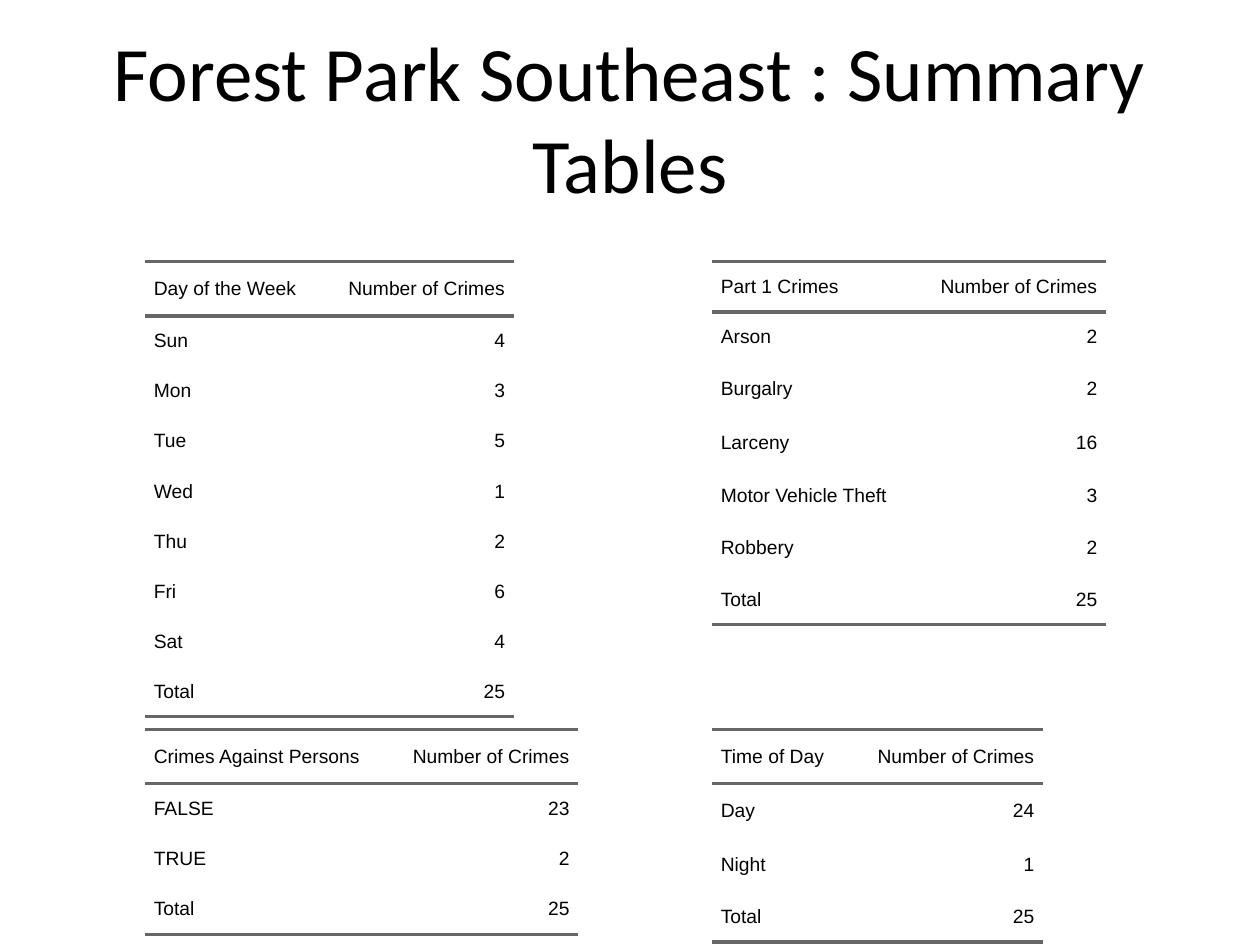
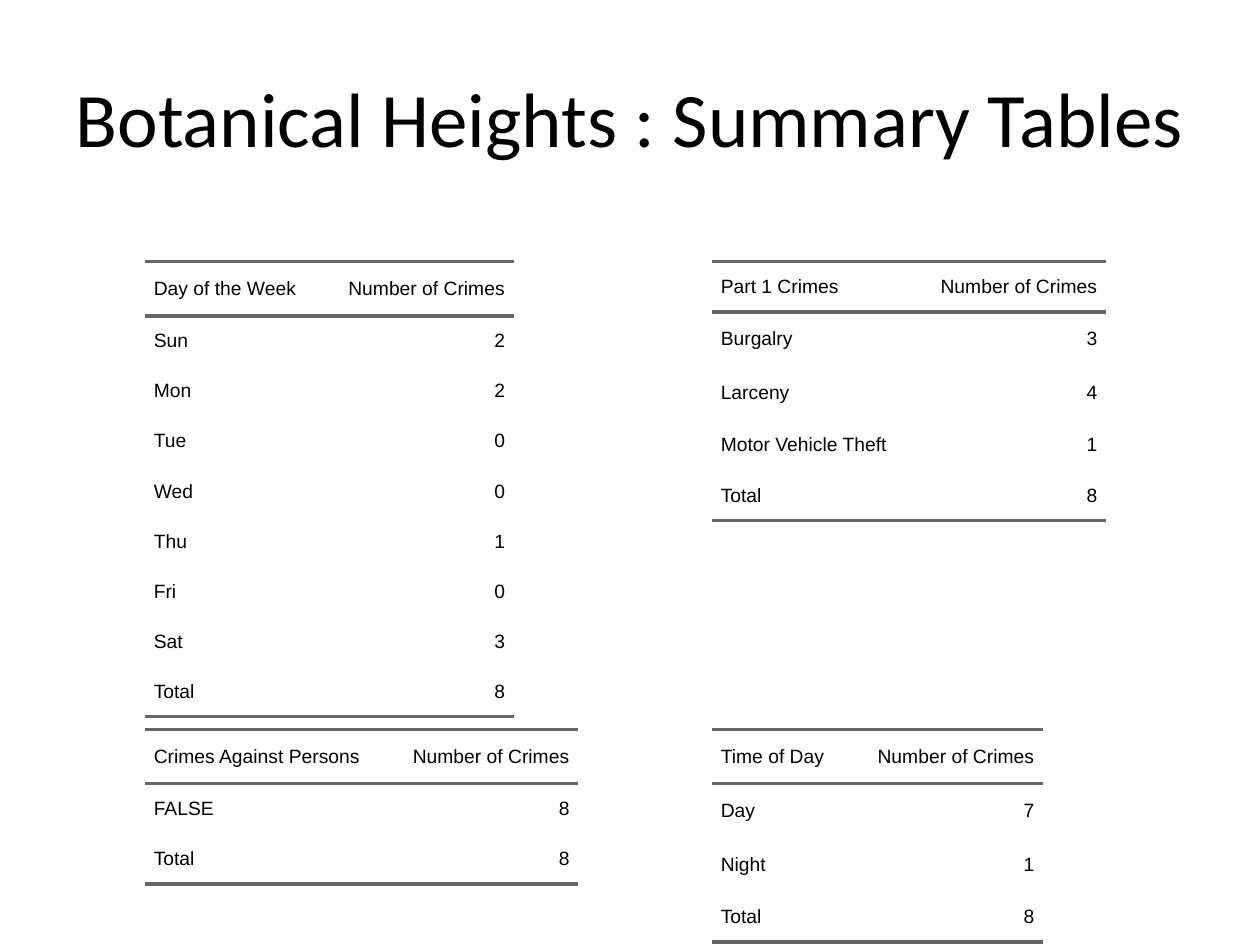
from lxml import etree
from pptx import Presentation
from pptx.dml.color import RGBColor
from pptx.enum.text import MSO_ANCHOR, PP_ALIGN
from pptx.oxml.ns import qn
from pptx.util import Cm, Pt

MIDDLE = MSO_ANCHOR.MIDDLE
LEFT, CENTER, RIGHT = PP_ALIGN.LEFT, PP_ALIGN.CENTER, PP_ALIGN.RIGHT

COLORS = {"text": "000000", "rule": "666666"}
TITLE_FONT, TABLE_FONT = "Calibri", "Arial"
NO_TABLE_STYLE = "{2D5ABB26-0587-4C30-8999-92F81FD0307C}"
RULE_WIDTH = Pt(2)
BLANK_LAYOUT = 6

TITLE_BOX = (1.27, 0.76, 22.86, 3.18)
COUNT_HEADING = "Number of Crimes"
COUNT_WIDTH = 3.86
CELL_PADDING = 0.18
ROW_HEIGHT, TALL_ROW_HEIGHT = 1.01, 1.09
DESCENDERS = set("gjpqy")

# Heading: (left, top, width of the label column)
TABLE_BOXES = {
    "Part 1 Crimes": (14.35, 5.28, 4.09),
    "Day of the Week": (2.92, 5.28, 3.58),
    "Crimes Against Persons": (2.92, 14.71, 4.88),
    "Time of Day": (14.35, 14.71, 2.82),
}
DAYS = ("Sun", "Mon", "Tue", "Wed", "Thu", "Fri", "Sat")

NEIGHBORHOODS = {
    "Forest Park Southeast": {
        "Part 1 Crimes": {"Arson": 2, "Burgalry": 2, "Larceny": 16,
                          "Motor Vehicle Theft": 3, "Robbery": 2},
        "Day of the Week": dict(zip(DAYS, (4, 3, 5, 1, 2, 6, 4))),
        "Crimes Against Persons": {"FALSE": 23, "TRUE": 2},
        "Time of Day": {"Day": 24, "Night": 1},
    },
    "Botanical Heights": {
        "Part 1 Crimes": {"Burgalry": 3, "Larceny": 4, "Motor Vehicle Theft": 1},
        "Day of the Week": dict(zip(DAYS, (2, 2, 0, 0, 1, 0, 3))),
        "Crimes Against Persons": {"FALSE": 8},
        "Time of Day": {"Day": 7, "Night": 1},
    },
}


def add_run(paragraph, text, font_name, size, alignment):
    paragraph.alignment = alignment
    run = paragraph.add_run()
    run.text = text
    run.font.name = font_name
    run.font.size = Pt(size)
    run.font.color.rgb = RGBColor.from_string(COLORS["text"])


def add_title(slide, text, box):
    text_frame = slide.shapes.add_textbox(*map(Cm, box)).text_frame
    text_frame.word_wrap = True
    text_frame.vertical_anchor = MIDDLE
    add_run(text_frame.paragraphs[0], text, TITLE_FONT, 44, CENTER)


def add_borders(cell, sides):
    """Rule the given sides, listed top before bottom as the schema orders them."""
    properties = cell._tc.get_or_add_tcPr()
    for position, side in enumerate(sides):
        line = etree.Element(qn(f"a:ln{side}"), w=str(RULE_WIDTH))
        fill = etree.SubElement(line, qn("a:solidFill"))
        etree.SubElement(fill, qn("a:srgbClr"), val=COLORS["rule"])
        properties.insert(position, line)


def fill_cell(cell, text, alignment, sides):
    cell.fill.background()
    cell.vertical_anchor = MIDDLE
    cell.margin_left = cell.margin_right = Cm(CELL_PADDING)
    cell.margin_top = cell.margin_bottom = 0
    add_run(cell.text_frame.paragraphs[0], text, TABLE_FONT, 11, alignment)
    add_borders(cell, sides)


def row_height(label):
    """Rows whose label reaches below the baseline are slightly taller."""
    return TALL_ROW_HEIGHT if DESCENDERS & set(label) else ROW_HEIGHT


def add_count_table(slide, heading, counts, box):
    left, top, label_width = box
    rows = [(heading, COUNT_HEADING), *counts.items(), ("Total", sum(counts.values()))]
    heights = [row_height(label) for label, _ in rows]
    widths = (label_width, COUNT_WIDTH)
    table = slide.shapes.add_table(len(rows), len(widths), Cm(left), Cm(top),
                                   Cm(sum(widths)), Cm(sum(heights))).table
    table._tbl.tblPr.find(qn("a:tableStyleId")).text = NO_TABLE_STYLE
    table.first_row = table.horz_banding = False
    for column, width in zip(table.columns, widths):
        column.width = Cm(width)

    ruled_sides = {0: "TB", len(rows) - 1: "B"}
    for index, (values, height) in enumerate(zip(rows, heights)):
        table.rows[index].height = Cm(height)
        for cell, value, alignment in zip(table.rows[index].cells, values, (LEFT, RIGHT)):
            fill_cell(cell, str(value), alignment, ruled_sides.get(index, ""))


def add_summary_slide(presentation, neighborhood, tables):
    slide = presentation.slides.add_slide(presentation.slide_layouts[BLANK_LAYOUT])
    add_title(slide, f"{neighborhood} : Summary Tables", TITLE_BOX)
    for heading, counts in tables.items():
        add_count_table(slide, heading, counts, TABLE_BOXES[heading])


def main():
    presentation = Presentation()
    presentation.slide_width, presentation.slide_height = Cm(25.4), Cm(19.05)
    for neighborhood, tables in NEIGHBORHOODS.items():
        add_summary_slide(presentation, neighborhood, tables)
    presentation.save("out.pptx")


if __name__ == "__main__":
    main()
